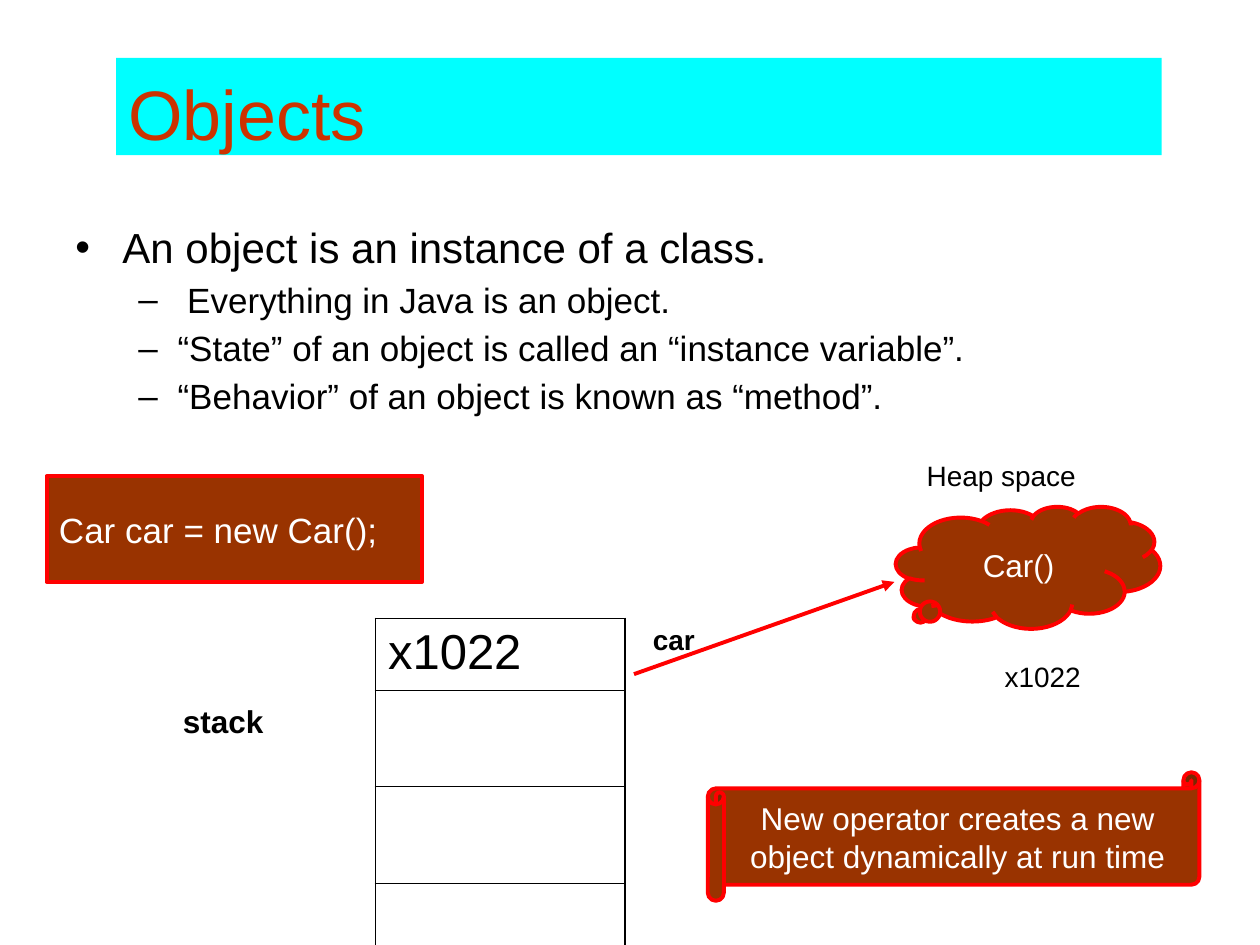
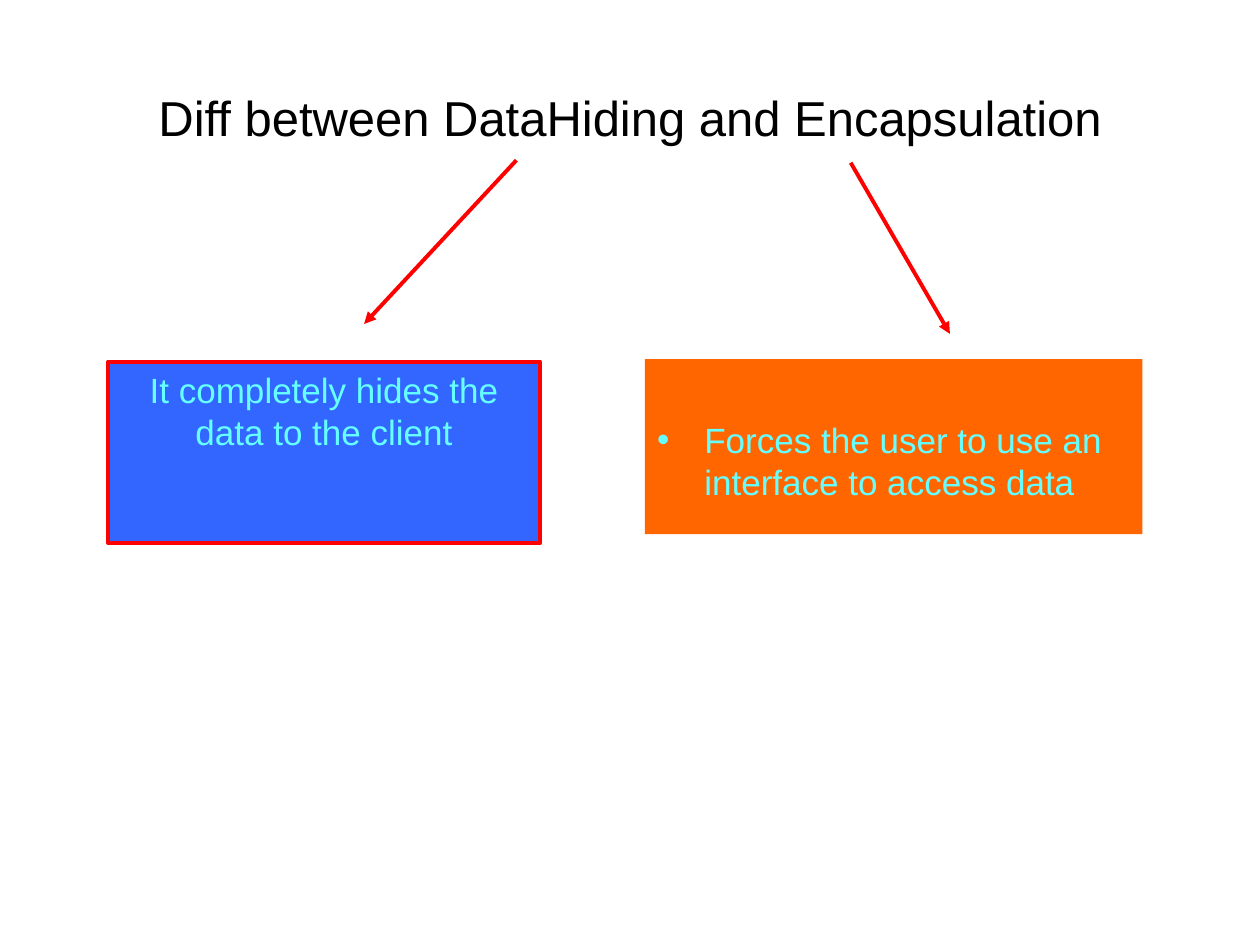
from dataclasses import dataclass
from typing import Optional

from lxml.etree import SubElement
from pptx import Presentation
from pptx.dml.color import RGBColor
from pptx.enum.shapes import MSO_CONNECTOR, MSO_SHAPE
from pptx.enum.text import MSO_ANCHOR, PP_ALIGN
from pptx.oxml.ns import qn
from pptx.util import Cm, Pt


@dataclass(frozen=True)
class Theme:
    font: str = "Arial"
    ink: str = "000000"
    white: str = "FFFFFF"
    cyan: str = "00FFFF"
    aqua: str = "66FFFF"
    brick: str = "CC3300"
    brown: str = "993300"
    red: str = "FF0000"
    orange: str = "FF6600"
    blue: str = "3366FF"
    heading: int = 40
    subheading: int = 28
    lead: int = 24
    body: int = 20
    note: int = 18
    label: int = 16
    outline: float = 2.25
    grid_outer: float = 1.08
    grid_inner: float = 0.45


THEME = Theme()


@dataclass(frozen=True)
class Bullet:
    mark: str
    left: float
    hang: float
    level: int = 0


DOT = Bullet("•", 0.95, 0.95)
DASH = Bullet("–", 2.06, 0.79, level=1)


@dataclass(frozen=True)
class Line:
    text: str
    size: int
    color: str = THEME.ink
    bold: bool = False
    align: PP_ALIGN = PP_ALIGN.CENTER
    bullet: Optional[Bullet] = None
    spacing: float = 1.0
    before: float = 0


@dataclass(frozen=True)
class Box:
    """A text block in centimetres; without a kind it is a plain text box."""
    left: float
    top: float
    width: float
    height: float
    lines: tuple[Line, ...]
    kind: Optional[MSO_SHAPE] = None
    fill: Optional[str] = None
    outline: Optional[str] = None
    anchor: MSO_ANCHOR = MSO_ANCHOR.TOP
    inset_top: float = 0.13
    adjustments: tuple[float, ...] = ()


@dataclass(frozen=True)
class Arrow:
    start: tuple[float, float]
    end: tuple[float, float]


def apply_format(target, values: dict) -> None:
    for name, value in values.items():
        setattr(target, name, value)


def rgb(color: str) -> RGBColor:
    return RGBColor.from_string(color)


def write_line(paragraph, line: Line) -> None:
    apply_format(paragraph, {
        "alignment": line.align,
        "line_spacing": line.spacing,
        "space_before": Pt(line.before),
    })
    run = paragraph.add_run()
    run.text = line.text
    apply_format(run.font, {"name": THEME.font, "size": Pt(line.size), "bold": line.bold})
    run.font.color.rgb = rgb(line.color)
    if line.bullet:
        paragraph.level = line.bullet.level
        properties = paragraph._p.get_or_add_pPr()
        properties.set("marL", str(Cm(line.bullet.left)))
        properties.set("indent", str(-Cm(line.bullet.hang)))
        SubElement(properties, qn("a:buFont"), typeface=THEME.font)
        SubElement(properties, qn("a:buChar"), char=line.bullet.mark)


def draw_box(slide, box: Box) -> None:
    place = [Cm(v) for v in (box.left, box.top, box.width, box.height)]
    if box.kind is None:
        shape = slide.shapes.add_textbox(*place)
    else:
        shape = slide.shapes.add_shape(box.kind, *place)
        shape.shadow.inherit = False
        shape.fill.solid()
        shape.fill.fore_color.rgb = rgb(box.fill)
        if box.outline:
            shape.line.color.rgb = rgb(box.outline)
            shape.line.width = Pt(THEME.outline)
        else:
            shape.line.fill.background()
        for index, value in enumerate(box.adjustments):
            shape.adjustments[index] = value
    frame = shape.text_frame
    apply_format(frame, {
        "word_wrap": True,
        "vertical_anchor": box.anchor,
        "margin_left": Cm(0.25),
        "margin_right": Cm(0.25),
        "margin_top": Cm(box.inset_top),
        "margin_bottom": Cm(0.13),
    })
    for index, line in enumerate(box.lines):
        write_line(frame.add_paragraph() if index else frame.paragraphs[0], line)


def draw_arrow(slide, arrow: Arrow) -> None:
    ends = [Cm(v) for v in (*arrow.start, *arrow.end)]
    connector = slide.shapes.add_connector(MSO_CONNECTOR.STRAIGHT, *ends)
    connector.line.color.rgb = rgb(THEME.red)
    connector.line.width = Pt(THEME.outline)
    SubElement(connector.line._get_or_add_ln(), qn("a:tailEnd"), type="triangle")
    SubElement(connector._element.spPr, qn("a:effectLst"))


def draw_cell_borders(cell, widths: dict[str, float]) -> None:
    properties = cell._tc.get_or_add_tcPr()
    for index, (side, width) in enumerate(widths.items()):
        border = properties.makeelement(qn(f"a:{side}"), {"w": str(Pt(width))})
        fill = SubElement(border, qn("a:solidFill"))
        SubElement(fill, qn("a:srgbClr"), val=THEME.ink)
        properties.insert(index, border)


def draw_stack(slide, left: float, top: float, width: float,
               row_heights: tuple[float, ...], address: Line) -> None:
    """Draw the stack as a one-column table with the address in its first row."""
    table = slide.shapes.add_table(len(row_heights), 1, Cm(left), Cm(top), Cm(width),
                                   Cm(sum(row_heights))).table
    apply_format(table, {"first_row": False, "horz_banding": False})
    last = len(row_heights) - 1
    for index, height in enumerate(row_heights):
        table.rows[index].height = Cm(height)
        cell = table.cell(index, 0)
        cell.fill.background()
        draw_cell_borders(cell, {
            "lnL": THEME.grid_outer,
            "lnR": THEME.grid_outer,
            "lnT": THEME.grid_inner if index else THEME.grid_outer,
            "lnB": THEME.grid_outer if index == last else THEME.grid_inner,
        })
    write_line(table.cell(0, 0).text_frame.paragraphs[0], address)


def label(left: float, top: float, width: float, text: str,
          size: int = THEME.label, bold: bool = False) -> Box:
    return Box(left, top, width, 0.94, (Line(text, size, bold=bold),))


def dash_line(text: str) -> Line:
    return Line(text, THEME.body, align=PP_ALIGN.LEFT, bullet=DASH, spacing=0.9, before=6)


def brown_shape(left: float, top: float, width: float, height: float, kind: MSO_SHAPE,
                line: Line, adjustments: tuple[float, ...] = ()) -> Box:
    return Box(left, top, width, height, (line,), kind, THEME.brown, THEME.red,
               MSO_ANCHOR.MIDDLE, adjustments=adjustments)


OBJECTS_BOXES = (
    Box(1.27, 4.45, 21.11, 4.01, (
        Line("An object is an instance of a class.", THEME.lead, align=PP_ALIGN.LEFT,
             bullet=DOT, spacing=0.9, before=6),
        dash_line(" Everything in Java is an object."),
        dash_line("“State” of an object is called an “instance variable”."),
        dash_line("“Behavior” of an object is known as “method”."),
    )),
    Box(2.34, 1.17, 21.08, 1.96,
        (Line("Objects", THEME.heading, THEME.brick, align=PP_ALIGN.LEFT),),
        MSO_SHAPE.RECTANGLE, THEME.cyan, inset_top=0.25),
    brown_shape(0.94, 9.6, 7.57, 2.13, MSO_SHAPE.RECTANGLE,
                Line("Car car = new Car();", THEME.body, THEME.white, align=PP_ALIGN.LEFT)),
    brown_shape(18.06, 10.21, 5.33, 2.46, MSO_SHAPE.CLOUD_CALLOUT,
                Line("Car()", THEME.note, THEME.white), (-0.42, 0.41)),
    label(17.63, 9.12, 5.11, "Heap space"),
    label(12.9, 12.42, 1.37, "car", bold=True),
    label(19.71, 13.16, 2.62, "x1022"),
    label(2.34, 14.02, 4.32, "stack", THEME.note, bold=True),
    brown_shape(14.27, 15.57, 9.91, 2.59, MSO_SHAPE.HORIZONTAL_SCROLL,
                Line("New operator creates a new object dynamically at run time",
                     THEME.note, THEME.white)),
)
REFERENCE_ARROW = Arrow((12.78, 13.59), (18.03, 11.73))

COMPARISON_BOXES = (
    Box(1.27, 0.76, 22.86, 3.18,
        (Line("Diff between DataHiding and Encapsulation", THEME.subheading),),
        anchor=MSO_ANCHOR.MIDDLE),
    Box(13, 7.24, 10.03, 3.53,
        (Line("Forces the user to use an interface to access data", THEME.body, THEME.aqua,
              align=PP_ALIGN.LEFT, bullet=DOT),),
        MSO_SHAPE.RECTANGLE, THEME.orange, inset_top=1.19),
    Box(2.18, 7.29, 8.71, 3.66,
        (Line("It completely hides the data to the client", THEME.body, THEME.aqua),),
        MSO_SHAPE.RECTANGLE, THEME.blue, THEME.red),
)
COMPARISON_ARROWS = (
    Arrow((10.41, 3.23), (7.34, 6.53)),
    Arrow((17.15, 3.28), (19.15, 6.73)),
)


def add_slide(deck, boxes: tuple[Box, ...], arrows: tuple[Arrow, ...]):
    slide = deck.slides.add_slide(deck.slide_layouts[6])
    for box in boxes:
        draw_box(slide, box)
    for arrow in arrows:
        draw_arrow(slide, arrow)
    return slide


def main() -> None:
    deck = Presentation()
    apply_format(deck, {"slide_width": Cm(25.4), "slide_height": Cm(19.05)})
    objects = add_slide(deck, OBJECTS_BOXES, (REFERENCE_ARROW,))
    draw_stack(objects, 7.57, 12.47, 5.03, (1.45, 1.94, 1.94, 1.94),
               Line("x1022", THEME.subheading, align=PP_ALIGN.LEFT))
    add_slide(deck, COMPARISON_BOXES, COMPARISON_ARROWS)
    deck.save("out.pptx")


if __name__ == "__main__":
    main()
